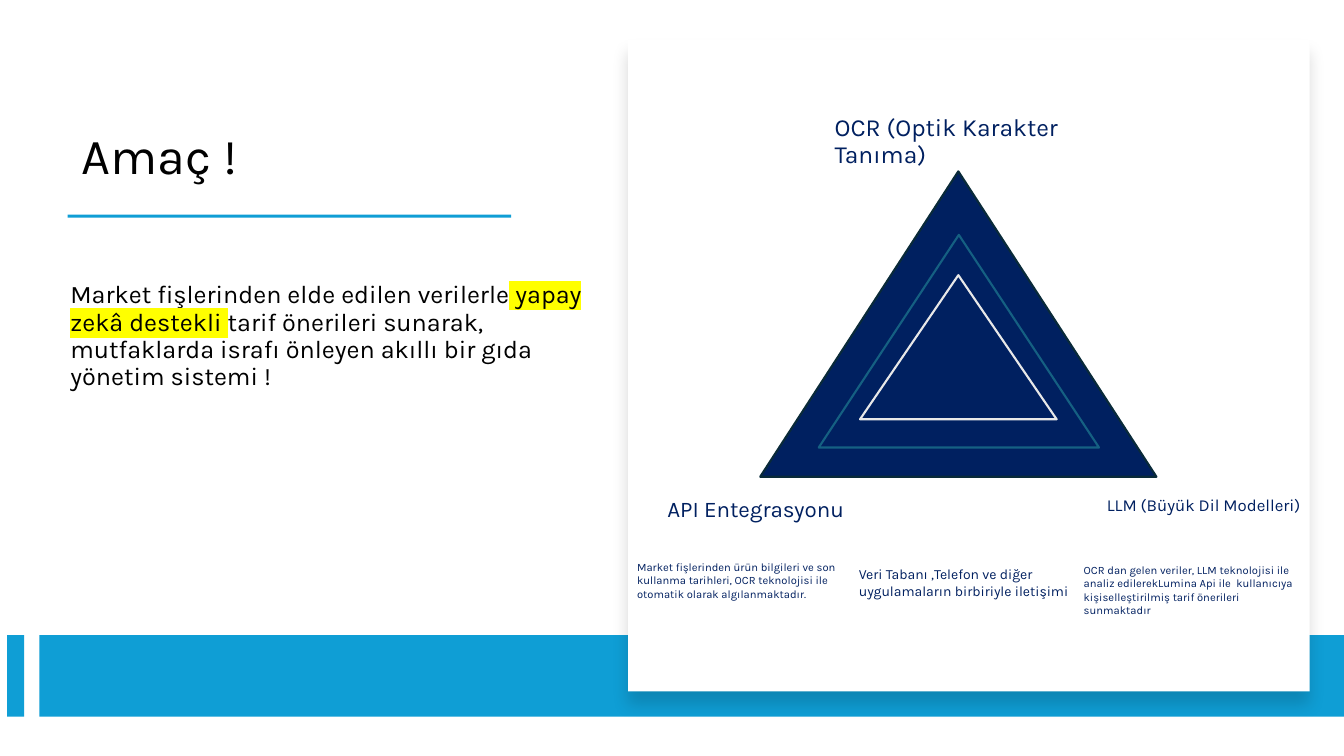
from dataclasses import dataclass

from lxml import etree
from pptx import Presentation
from pptx.dml.color import RGBColor
from pptx.enum.shapes import MSO_SHAPE
from pptx.enum.text import MSO_ANCHOR, MSO_AUTO_SIZE, PP_ALIGN
from pptx.oxml.ns import qn
from pptx.util import Pt

PX = 9144
TITLE_ONLY = 5
RECTANGLE = MSO_SHAPE.RECTANGLE
TRIANGLE = MSO_SHAPE.ISOSCELES_TRIANGLE
TOP, MIDDLE, BOTTOM = MSO_ANCHOR.TOP, MSO_ANCHOR.MIDDLE, MSO_ANCHOR.BOTTOM
LEFT = PP_ALIGN.LEFT
NO_AUTOFIT = MSO_AUTO_SIZE.NONE


@dataclass(frozen=True)
class Theme:
    font: str = "Karla"
    black: str = "000000"
    white: str = "FFFFFF"
    blue: str = "0F9ED5"
    navy: str = "002060"
    edge: str = "092A39"
    teal: str = "156082"
    pale: str = "E8E8E8"
    marker: str = "FFFF00"
    title: float = 36
    body: float = 18
    top_label: float = 17.6
    left_label: float = 16
    right_label: float = 12
    note: float = 10
    small_note: float = 8


THEME = Theme()


def emu(*lengths):
    return [length * PX for length in lengths]


def rgb(color):
    return RGBColor.from_string(color)


def add_run(p, text, size, color):
    r = p.add_run()
    r.text = text
    r.font.name = THEME.font
    r.font.size = Pt(size)
    r.font.color.rgb = rgb(color)
    return r


def format_frame(tf, anchor, space_after, line_spacing):
    tf.word_wrap = True
    tf.auto_size = NO_AUTOFIT
    tf.vertical_anchor = anchor
    p = tf.paragraphs[0]
    p.alignment = LEFT
    p.space_before = Pt(0)
    p.space_after = Pt(space_after)
    p.line_spacing = line_spacing
    return p


def add_text(s, box, text, size, color=THEME.navy, anchor=TOP,
             space_after=4.8, line_spacing=1.0):
    sp = s.shapes.add_textbox(*emu(*box))
    p = format_frame(sp.text_frame, anchor, space_after, line_spacing)
    add_run(p, text, size, color)
    return p


def add_title(s, box, text):
    sp = s.shapes.title
    sp.left, sp.top, sp.width, sp.height = emu(*box)
    p = format_frame(sp.text_frame, BOTTOM, 6, 0.9)
    add_run(p, text, THEME.title, THEME.black)


def add_figure(s, kind, box, fill, line=None):
    sp = s.shapes.add_shape(kind, *emu(*box))
    sp.shadow.inherit = False
    sp.fill.solid()
    sp.fill.fore_color.rgb = rgb(fill)
    if line:
        sp.line.color.rgb = rgb(line)
        sp.line.width = Pt(1.5)
    else:
        sp.line.fill.background()
    return sp


def add_shadow(sp):
    effects = sp._element.spPr.find(qn("a:effectLst"))
    shadow = etree.SubElement(effects, qn("a:outerShdw"), blurRad=str(Pt(11)),
                              dist=str(Pt(10)), dir="5400000", algn="t", rotWithShape="0")
    color = etree.SubElement(shadow, qn("a:srgbClr"), val=THEME.black)
    etree.SubElement(color, qn("a:alpha"), val="15000")


def highlight(r):
    mark = etree.Element(qn("a:highlight"))
    etree.SubElement(mark, qn("a:srgbClr"), val=THEME.marker)
    r.font._element.find(qn("a:latin")).addprevious(mark)


def add_purpose(s):
    add_title(s, (71, 58, 468, 131), "Amaç !")
    add_figure(s, RECTANGLE, (67, 213, 440, 3), THEME.blue)
    p = add_text(s, (60, 142, 539, 384), "Market fişlerinden elde edilen verilerle",
                 THEME.body, THEME.black, MIDDLE, 6, 0.9)
    highlight(add_run(p, " yapay zekâ destekli ", THEME.body, THEME.black))
    add_run(p, "tarif önerileri sunarak, mutfaklarda israfı önleyen akıllı bir gıda "
               "yönetim sistemi !", THEME.body, THEME.black)


def add_background(s):
    for left, width in ((7, 17), (39, 1294)):
        add_figure(s, RECTANGLE, (left, 630, width, 81), THEME.blue)
    add_shadow(add_figure(s, RECTANGLE, (623, 39, 676, 647), THEME.white))


def add_diagram(s):
    add_text(s, (818, 108, 329, 66), "OCR (Optik Karakter Tanıma)",
             THEME.top_label, anchor=MIDDLE, line_spacing=0.9)
    texts = (
        ((1088, 486, 228, 30), "LLM (Büyük Dil Modelleri)", THEME.right_label),
        ((652, 486, 201, 37), "API Entegrasyonu", THEME.left_label),
        ((1065, 554, 236, 50),
         "OCR dan gelen veriler, LLM teknolojisi ile analiz edilerekLumina Api ile  "
         "kullanıcıya kişiselleştirilmiş tarif önerileri sunmaktadır", THEME.small_note),
        ((842, 556, 236, 44),
         "Veri Tabanı ,Telefon ve diğer uygulamaların birbiriyle iletişimi", THEME.note),
        ((622, 551, 236, 50),
         "Market fişlerinden ürün bilgileri ve son kullanma tarihleri, OCR teknolojisi ile "
         "otomatik olarak algılanmaktadır.", THEME.small_note),
    )
    for box, text, size in texts:
        add_text(s, box, text, size)
    triangles = (
        ((754, 170, 393, 303), THEME.edge),
        ((812, 233, 278, 211), THEME.teal),
        ((853, 273, 195, 143), THEME.pale),
    )
    for box, line in triangles:
        add_figure(s, TRIANGLE, box, THEME.navy, line)


def main():
    prs = Presentation()
    prs.slide_width, prs.slide_height = emu(1333, 750)
    s = prs.slides.add_slide(prs.slide_layouts[TITLE_ONLY])
    s.background.fill.solid()
    s.background.fill.fore_color.rgb = rgb(THEME.white)
    add_purpose(s)
    add_background(s)
    add_diagram(s)
    prs.save("out.pptx")


if __name__ == "__main__":
    main()
